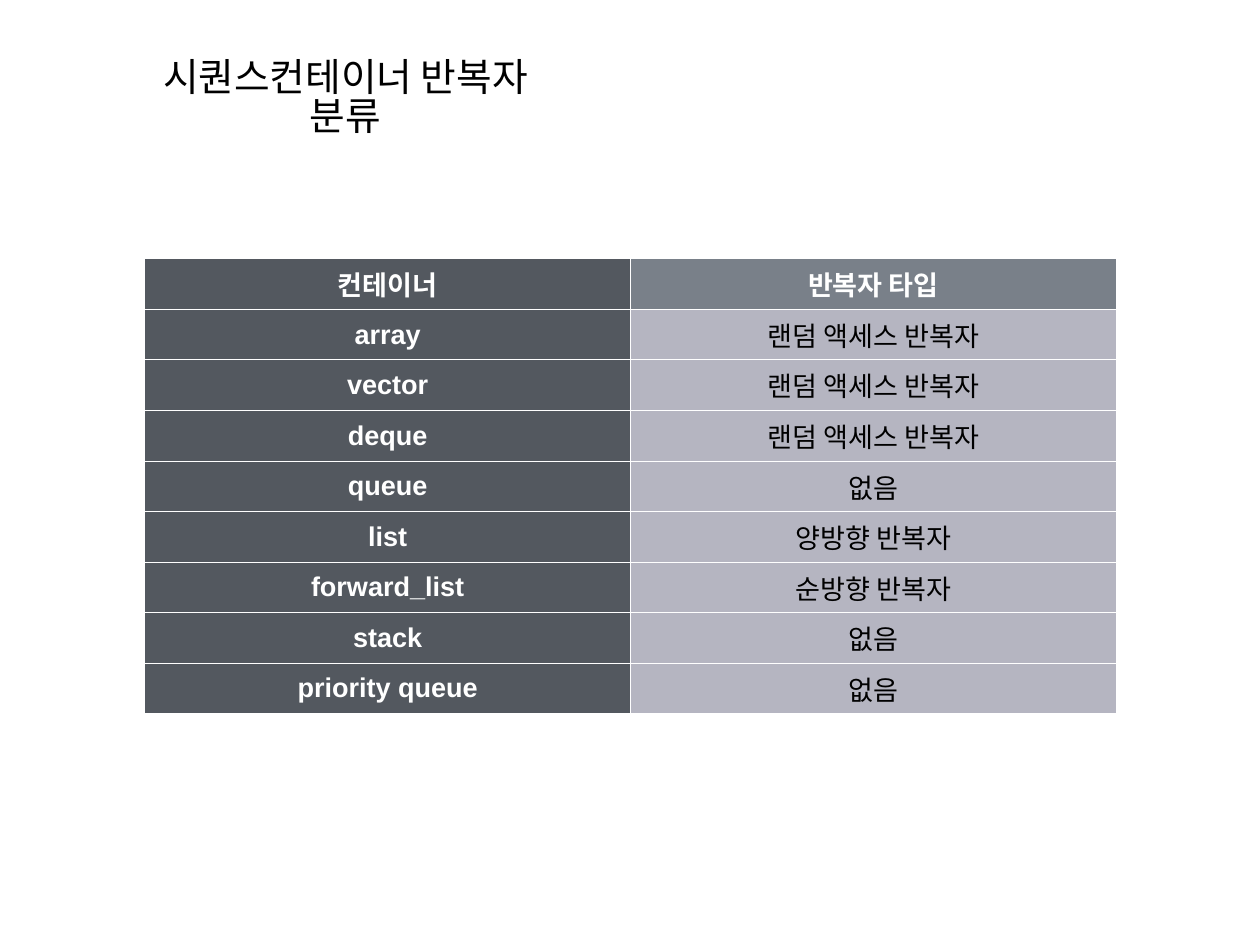
from lxml.etree import SubElement
from pptx import Presentation
from pptx.dml.color import RGBColor
from pptx.enum.text import MSO_ANCHOR, MSO_AUTO_SIZE, PP_ALIGN
from pptx.oxml.ns import qn
from pptx.util import Pt

WHITE = RGBColor(0xFF, 0xFF, 0xFF)
BLACK = RGBColor(0x00, 0x00, 0x00)
HEADER_GRAY = RGBColor(0x79, 0x80, 0x89)
DARK_GRAY = RGBColor(0x53, 0x58, 0x5F)
LIGHT_GRAY = RGBColor(0xB5, 0xB5, 0xC1)

FONT = "Arial"
INSET = Pt(4)
COL_WIDTH = Pt(394.8)
ROW_HEIGHT = Pt(41.1)

ROWS = [
    ("컨테이너", "반복자 타입"),
    ("array", "랜덤 액세스 반복자"),
    ("vector", "랜덤 액세스 반복자"),
    ("deque", "랜덤 액세스 반복자"),
    ("queue", "없음"),
    ("list", "양방향 반복자"),
    ("forward_list", "순방향 반복자"),
    ("stack", "없음"),
    ("priority queue", "없음"),
]


def set_text(box, text, size, color, bold=False):
    box.margin_left = box.margin_right = INSET
    box.margin_top = box.margin_bottom = INSET
    box.vertical_anchor = MSO_ANCHOR.MIDDLE
    tf = box if hasattr(box, "paragraphs") else box.text_frame
    tf.text = text
    p = tf.paragraphs[0]
    p.alignment = PP_ALIGN.CENTER
    p.font.name = FONT
    p.font.size = Pt(size)
    p.font.bold = bold
    p.font.color.rgb = color
    return p


def set_borders(cell):
    tcPr = cell._tc.get_or_add_tcPr()
    for i, side in enumerate(("a:lnL", "a:lnR", "a:lnT", "a:lnB")):
        ln = tcPr.makeelement(qn(side), {"w": str(Pt(1))})
        fill = SubElement(ln, qn("a:solidFill"))
        SubElement(fill, qn("a:srgbClr"), val=str(WHITE))
        tcPr.insert(i, ln)


def add_title(slide, text):
    title = slide.shapes.title
    title.left, title.top = Pt(103.7), Pt(49.7)
    title.width, title.height = Pt(354.2), Pt(62)
    tf = title.text_frame
    tf.word_wrap = True
    tf.auto_size = MSO_AUTO_SIZE.NONE
    p = set_text(tf, text, 31.5, BLACK)
    p.line_spacing = 0.83


def add_container_table(slide):
    frame = slide.shapes.add_table(
        len(ROWS), 2, Pt(117.6), Pt(210.4), COL_WIDTH * 2, ROW_HEIGHT * len(ROWS)
    )
    table = frame.table
    table.first_col = True
    table.horz_banding = False
    for r, row in enumerate(ROWS):
        for c, text in enumerate(row):
            cell = table.cell(r, c)
            heading = r == 0 or c == 0
            set_text(cell, text, 22, WHITE if heading else BLACK, heading)
            cell.fill.solid()
            if c == 0:
                cell.fill.fore_color.rgb = DARK_GRAY
            else:
                cell.fill.fore_color.rgb = HEADER_GRAY if r == 0 else LIGHT_GRAY
            set_borders(cell)


def main():
    prs = Presentation()
    prs.slide_width, prs.slide_height = Pt(1024), Pt(768)
    slide = prs.slides.add_slide(prs.slide_layouts[5])
    add_title(slide, "시퀀스컨테이너 반복자 분류")
    add_container_table(slide)
    prs.save("out.pptx")


if __name__ == "__main__":
    main()
